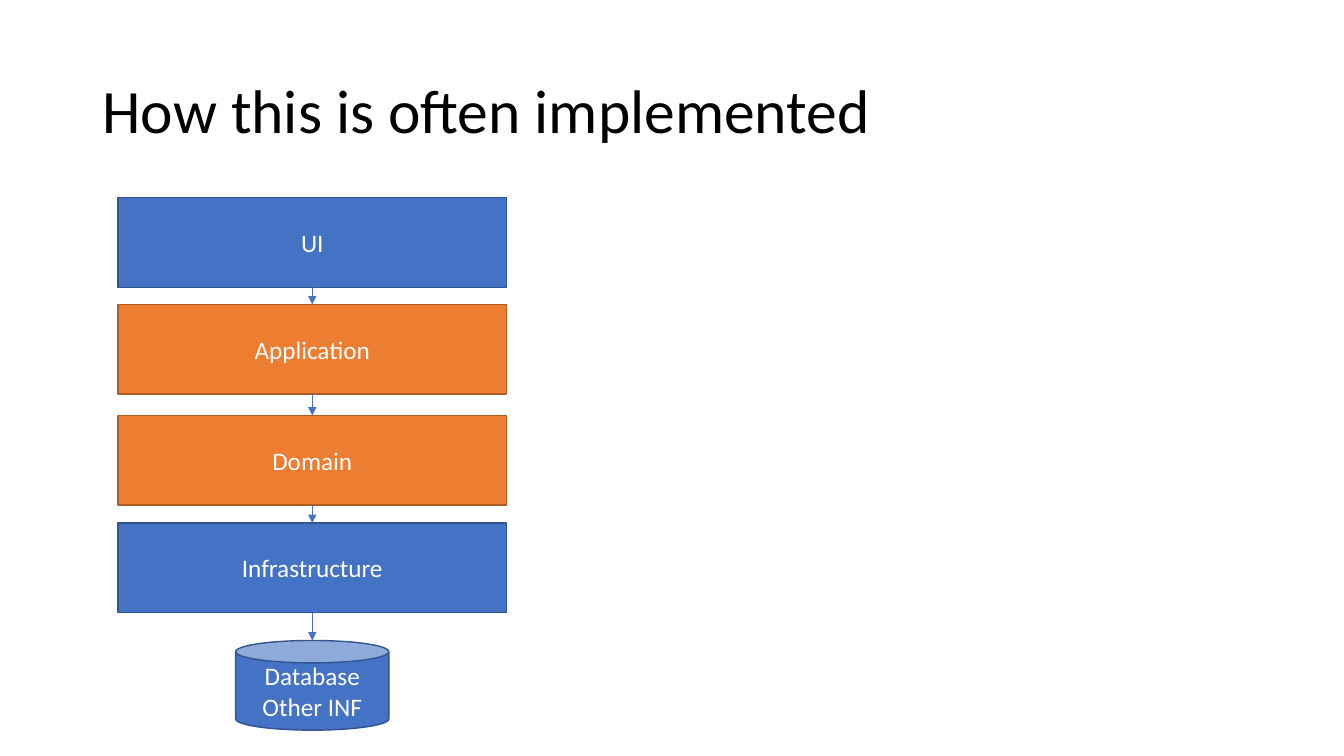
from dataclasses import dataclass

from lxml.etree import SubElement
from pptx import Presentation
from pptx.dml.color import RGBColor
from pptx.enum.shapes import MSO_CONNECTOR, MSO_SHAPE
from pptx.enum.text import MSO_ANCHOR, PP_ALIGN
from pptx.oxml.ns import qn
from pptx.util import Cm, Pt


@dataclass(frozen=True)
class Theme:
    font: str = "Calibri"
    title_size: int = 44
    label_size: int = 18
    ink: str = "000000"
    paper: str = "FFFFFF"
    blue: str = "4472C4"
    blue_edge: str = "325491"
    orange: str = "ED7D31"
    orange_edge: str = "AF5C24"
    edge_width: float = 1
    arrow_width: float = 0.5


def write(owner, text, size, color, frame_format, paragraph_format):
    frame = owner.text_frame
    frame.text = text
    paragraph = frame.paragraphs[0]
    font = paragraph.runs[0].font
    font_format = {"name": theme.font, "size": Pt(size), "bold": False}
    for target, values in (
        (frame, frame_format),
        (paragraph, paragraph_format),
        (font, font_format),
    ):
        for attribute, value in values.items():
            setattr(target, attribute, value)
    font.color.rgb = RGBColor.from_string(color)


def paint(line, color, width):
    line.color.rgb = RGBColor.from_string(color)
    line.width = Pt(width)


theme = Theme()
middle = {"word_wrap": True, "vertical_anchor": MSO_ANCHOR.MIDDLE}

deck = Presentation()
deck.slide_width, deck.slide_height = Cm(33.87), Cm(19.05)
slide = deck.slides.add_slide(deck.slide_layouts[5])

heading = slide.shapes.title
heading_place = {"left": 2.33, "top": 1.01, "width": 29.21, "height": 3.68}
for attribute, length in heading_place.items():
    setattr(heading, attribute, Cm(length))
write(
    heading, "How this is often implemented", theme.title_size, theme.ink,
    middle, {"alignment": PP_ALIGN.LEFT, "line_spacing": 0.9},
)

axis = 7.87
layer_height = 2.26
blue = (theme.blue, theme.blue_edge)
orange = (theme.orange, theme.orange_edge)
layers = [
    ("UI", MSO_SHAPE.RECTANGLE, 4.98, 9.8, blue),
    ("Application", MSO_SHAPE.RECTANGLE, 7.67, 9.8, orange),
    ("Domain", MSO_SHAPE.RECTANGLE, 10.47, 9.8, orange),
    ("Infrastructure", MSO_SHAPE.RECTANGLE, 13.18, 9.8, blue),
    ("Database Other INF", MSO_SHAPE.CAN, 16.14, 3.86, blue),
]

upper = None
for label, outline, top, width, (fill, edge) in layers:
    layer = slide.shapes.add_shape(
        outline, Cm(axis - width / 2), Cm(top), Cm(width), Cm(layer_height)
    )
    layer.shadow.inherit = False
    layer.fill.solid()
    layer.fill.fore_color.rgb = RGBColor.from_string(fill)
    paint(layer.line, edge, theme.edge_width)
    write(
        layer, label, theme.label_size, theme.paper,
        middle, {"alignment": PP_ALIGN.CENTER},
    )

    if upper is not None:
        dependency = slide.shapes.add_connector(
            MSO_CONNECTOR.STRAIGHT, Cm(axis), upper.top + upper.height, Cm(axis), Cm(top)
        )
        dependency.begin_connect(upper, 2)
        if outline == MSO_SHAPE.RECTANGLE:
            dependency.end_connect(layer, 0)
        paint(dependency.line, theme.blue, theme.arrow_width)
        SubElement(dependency.line._get_or_add_ln(), qn("a:tailEnd"), type="triangle")
        SubElement(dependency._element.spPr, qn("a:effectLst"))
    upper = layer

deck.save("out.pptx")
